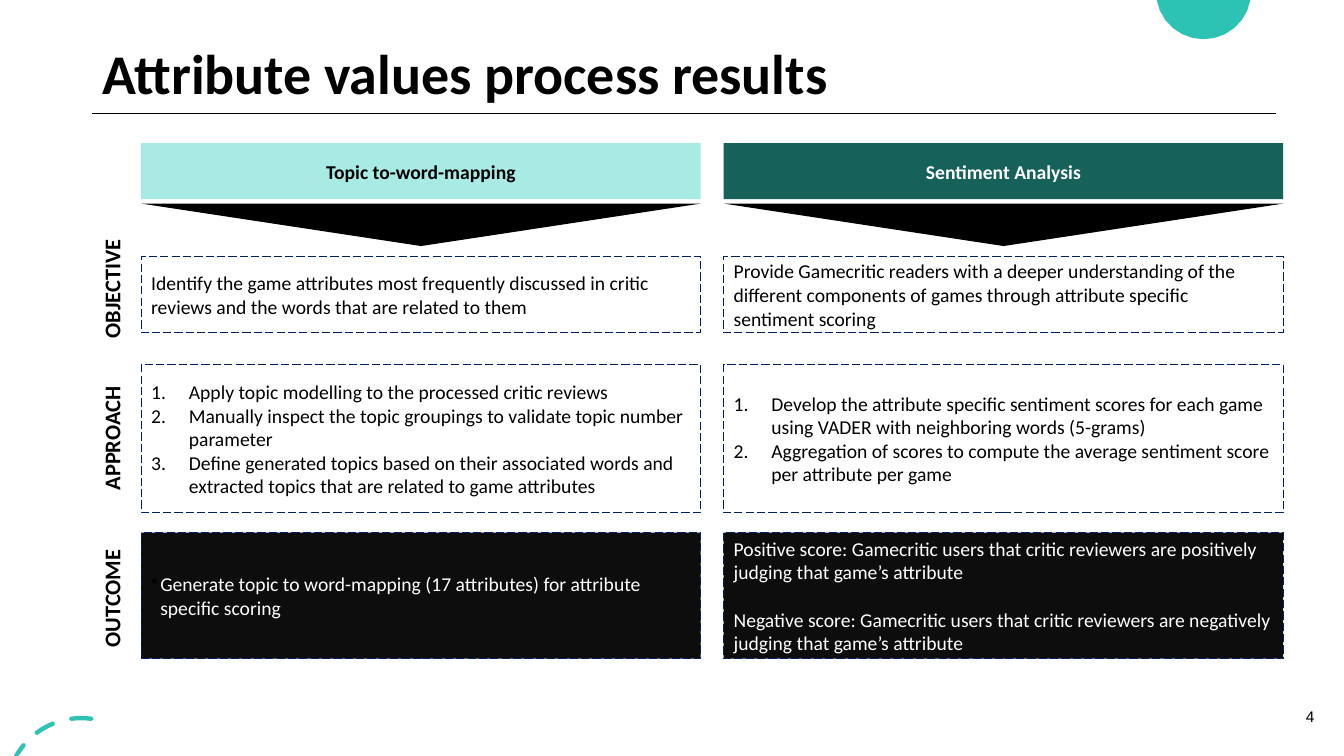
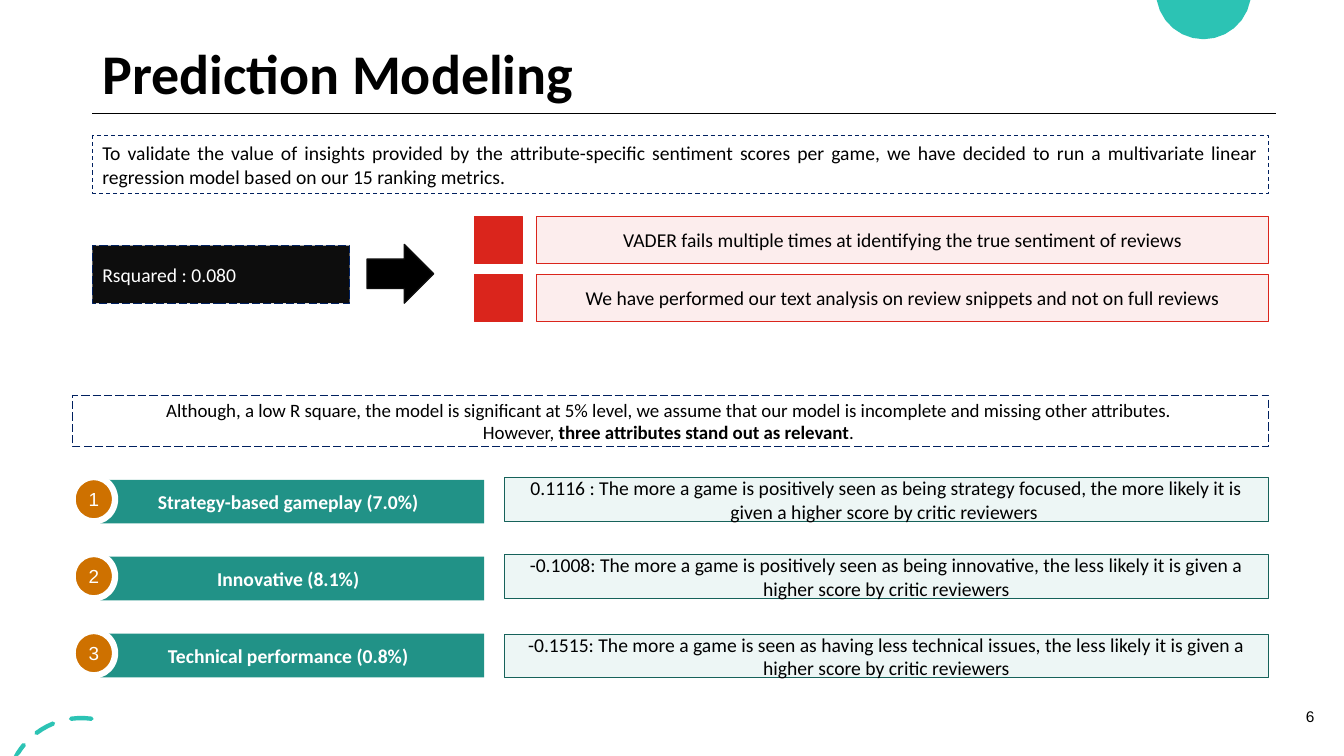
from math import asin, cos, degrees, radians, sin

from lxml import etree
from pptx import Presentation
from pptx.dml.color import RGBColor
from pptx.enum.dml import MSO_LINE
from pptx.enum.shapes import MSO_CONNECTOR, MSO_SHAPE
from pptx.enum.text import MSO_ANCHOR, PP_ALIGN
from pptx.oxml.ns import qn
from pptx.util import Cm, Pt

LEFT, CENTER, RIGHT, JUSTIFY = PP_ALIGN.LEFT, PP_ALIGN.CENTER, PP_ALIGN.RIGHT, PP_ALIGN.JUSTIFY
MIDDLE = MSO_ANCHOR.MIDDLE
DASH, LONG_DASH = MSO_LINE.DASH, MSO_LINE.LONG_DASH
STRAIGHT = MSO_CONNECTOR.STRAIGHT
RECTANGLE, OVAL = MSO_SHAPE.RECTANGLE, MSO_SHAPE.OVAL
TRIANGLE, RIGHT_ARROW = MSO_SHAPE.ISOSCELES_TRIANGLE, MSO_SHAPE.RIGHT_ARROW

COLORS = {
    "black": "000000",
    "white": "FFFFFF",
    "ink": "0D0D0D",
    "navy": "002060",
    "turquoise": "2CC3B4",
    "mint": "A7EBE4",
    "teal": "219287",
    "pine": "16625A",
    "red": "DA251C",
    "orange": "CE7100",
}
FONT, NUMBER_FONT = "Calibri", "Arial"
SLIDE_WIDTH, SLIDE_HEIGHT = 33.87, 19.05
MARGIN = 2.33
NUMBERED, BULLETED = "numbered", "bulleted"
LIST_INDENTS = {NUMBERED: 0.95, BULLETED: 0.23}
TINT_PERCENT = 8


def color(name):
    return RGBColor.from_string(COLORS[name])


def tint(shape):
    """Make the solid fill of a shape nearly transparent."""
    fill_color = shape._element.spPr.find(qn("a:solidFill"))[0]
    etree.SubElement(fill_color, qn("a:alpha"), val=str(TINT_PERCENT * 1000))


def add_list_mark(para, kind):
    properties = para._p.get_or_add_pPr()
    indent = Cm(LIST_INDENTS[kind])
    properties.set("marL", str(indent))
    properties.set("indent", str(-indent))
    mark_color = etree.SubElement(properties, qn("a:buClr"))
    etree.SubElement(mark_color, qn("a:srgbClr"), val=COLORS["black"])
    if kind == NUMBERED:
        etree.SubElement(properties, qn("a:buAutoNum"), type="arabicPeriod")
    else:
        etree.SubElement(properties, qn("a:buChar"), char="•")


def write(shape, paragraphs, size=14, ink="black", bold=False, align=LEFT,
          font=FONT, marks=None, gap=0, spacing=None):
    """Fill a shape with paragraphs; in a tuple of spans every second one is bold."""
    frame = shape.text_frame
    frame.word_wrap = True
    frame.vertical_anchor = MIDDLE
    for index, content in enumerate(paragraphs):
        para = frame.add_paragraph() if index else frame.paragraphs[0]
        if marks:
            add_list_mark(para, marks)
        para.alignment = align
        if index and gap:
            para.space_before = Pt(gap)
        if spacing:
            para.line_spacing = spacing
        para.font.name = font
        para.font.size = Pt(size)
        para.font.bold = bold
        para.font.color.rgb = color(ink)
        spans = (content,) if isinstance(content, str) else content
        for position, text in enumerate(spans):
            span = para.add_run()
            span.text = text
            if position % 2:
                span.font.bold = True


def add_shape(page, kind, left, top, width, height, fill=None, line=None,
              weight=0.75, dash=None):
    shape = page.shapes.add_shape(kind, Cm(left), Cm(top), Cm(width), Cm(height))
    shape.shadow.inherit = False
    if fill:
        shape.fill.solid()
        shape.fill.fore_color.rgb = color(fill)
    else:
        shape.fill.background()
    if line:
        shape.line.color.rgb = color(line)
        shape.line.width = Pt(weight)
        if dash:
            shape.line.dash_style = dash
    else:
        shape.line.fill.background()
    return shape


def add_dashed_box(page, left, top, width, height, paragraphs, fill=None,
                   dash=LONG_DASH, **text_style):
    box = add_shape(page, RECTANGLE, left, top, width, height, fill, "navy", dash=dash)
    write(box, paragraphs, ink="white" if fill else "black", **text_style)


def add_banner(page, left, top, width, height, text, fill, ink="white"):
    banner = add_shape(page, RECTANGLE, left, top, width, height, fill)
    write(banner, [text], ink=ink, bold=True, align=CENTER)


def add_tinted_box(page, left, top, width, height, text, fill, line):
    box = add_shape(page, RECTANGLE, left, top, width, height, fill, line)
    tint(box)
    write(box, [text], align=CENTER)


def add_text(page, left, top, width, height, text, rotation=0, **text_style):
    box = page.shapes.add_textbox(Cm(left), Cm(top), Cm(width), Cm(height))
    box.rotation = rotation
    write(box, [text], **text_style)


def arc_points(center_x, center_y, radius, start, end, steps):
    """Points on an arc, kept on the slide; degrees run clockwise from the right."""
    angles = [radians(start + (end - start) * step / steps) for step in range(steps + 1)]
    return [(Cm(center_x + radius * cos(angle)),
             Cm(min(center_y + radius * sin(angle), SLIDE_HEIGHT))) for angle in angles]


def add_outline(page, contours):
    """Draw closed contours as one turquoise shape."""
    builder = page.shapes.build_freeform(*contours[0][0], scale=1.0)
    for index, contour in enumerate(contours):
        if index:
            builder.move_to(*contour[0])
        builder.add_line_segments(contour[1:], close=True)
    outline = builder.convert_to_shape()
    outline.shadow.inherit = False
    outline.fill.solid()
    outline.fill.fore_color.rgb = color("turquoise")
    outline.line.fill.background()


def stroke_contour(start, end):
    """A short curved stroke with rounded ends."""
    center, inner, outer, cap = (2.05, 19.98), 1.83, 1.94, 1.5
    tips = arc_points(*center, (inner + outer) / 2, start - cap, end + cap, 1)
    return (arc_points(*center, outer, start, end, 3) + tips[1:]
            + arc_points(*center, inner, end, start, 3) + tips[:1])


def add_decorations(page):
    radius, rise = 1.2, 0.21
    edge = degrees(asin(rise / radius))
    add_outline(page, [arc_points(30.33, -rise, radius, edge, 180 - edge, 12)])
    add_outline(page, [stroke_contour(start, end)
                       for start, end in ((209, 220), (233, 248), (262, 278))])


def add_title_rule(page):
    rule = page.shapes.add_connector(STRAIGHT, Cm(MARGIN), Cm(2.86), Cm(32.16), Cm(2.86))
    rule.line.color.rgb = color("black")
    rule.line.width = Pt(0.5)
    etree.SubElement(rule._element.spPr, qn("a:effectLst"))


def add_page(deck, title, number):
    """Start a slide with everything the slides share."""
    page = deck.slides.add_slide(deck.slide_layouts[6])
    add_decorations(page)
    add_title_rule(page)
    number_box = add_shape(page, RECTANGLE, 32.16, 17.68, 1.22, 0.74, "white")
    write(number_box, [str(number)], size=11, font=NUMBER_FONT, align=RIGHT)
    add_text(page, MARGIN, 1.01, 29.21, 1.85, title, size=40, bold=True, spacing=0.9)
    return page


def build_results(deck):
    page = add_page(deck, "Attribute values process results", 4)
    width = 14.1
    columns = (
        (3.56, "Topic to-word-mapping", "mint", "black",
         ["Identify the game attributes most frequently discussed in critic reviews "
          "and the words that are related to them"],
         ["Apply topic modelling to the processed critic reviews",
          "Manually inspect the topic groupings to validate topic number parameter",
          "Define generated topics based on their associated words and extracted "
          "topics that are related to game attributes"],
         ["Generate topic to word-mapping (17 attributes) for attribute specific scoring"],
         BULLETED),
        (18.24, "Sentiment Analysis", "pine", "white",
         ["Provide Gamecritic readers with a deeper understanding of the different "
          "components of games through attribute specific sentiment scoring"],
         ["Develop the attribute specific sentiment scores for each game using VADER "
          "with neighboring words (5-grams)",
          "Aggregation of scores to compute the average sentiment score per attribute "
          "per game"],
         ["Positive score: Gamecritic users that critic reviewers are positively "
          "judging that game’s attribute",
          "Negative score: Gamecritic users that critic reviewers are negatively "
          "judging that game’s attribute"],
         None),
    )
    for left, heading, fill, ink, objective, approach, outcome, outcome_marks in columns:
        add_banner(page, left, 3.61, width, 1.41, heading, fill, ink)
        pointer = add_shape(page, TRIANGLE, left, 5.13, width, 1.07, "black")
        pointer.rotation = 180
        add_dashed_box(page, left, 6.47, width, 1.91, objective)
        add_dashed_box(page, left, 9.19, width, 3.73, approach, marks=NUMBERED)
        add_dashed_box(page, left, 13.42, width, 3.18, outcome, "ink",
                       marks=outcome_marks, gap=17)

    label_width, label_height = 4.11, 0.94
    for middle, label in ((7.28, "OBJECTIVE"), (11.05, "APPROACH"), (15.08, "OUTCOME")):
        add_text(page, 2.81 - label_width / 2, middle - label_height / 2, label_width,
                 label_height, label, rotation=270, size=16, bold=True, align=CENTER)


def build_prediction(deck):
    page = add_page(deck, "Prediction Modeling", 6)
    add_dashed_box(
        page, MARGIN, 3.42, 29.64, 1.45,
        ["To validate the value of insights provided by the attribute-specific sentiment "
         "scores per game, we have decided to run a multivariate linear regression model "
         "based on our 15 ranking metrics."],
        dash=DASH, align=JUSTIFY)
    add_dashed_box(page, MARGIN, 6.19, 6.48, 1.45, ["Rsquared : 0.080"], "ink")
    add_shape(page, RIGHT_ARROW, 9.25, 6.16, 1.68, 1.48, "black", "ink", 1)

    limits = ("VADER fails multiple times at identifying the true sentiment of reviews",
              "We have performed our text analysis on review snippets and not on full reviews")
    for row, limit in enumerate(limits):
        top = 5.45 + 1.46 * row
        add_shape(page, RECTANGLE, 11.96, top, 1.2, 1.2, "red", "red")
        add_tinted_box(page, 13.53, top, 18.44, 1.2, limit, "red", "red")

    add_dashed_box(
        page, 1.83, 9.96, 30.14, 1.3,
        ["Although, a low R square, the model is significant at 5% level, we assume that "
         "our model is incomplete and missing other attributes. ",
         ("However, ", "three attributes stand out as relevant", ". ")],
        size=13.5, align=CENTER)

    attributes = (
        ("Strategy-based gameplay (7.0%)", 12.04,
         "0.1116 : The more a game is positively seen as being strategy focused, the more "
         "likely it is given a higher score by critic reviewers "),
        ("Innovative (8.1%)", 13.98,
         "-0.1008: The more a game is positively seen as being innovative, the less "
         "likely it is given a higher score by critic reviewers"),
        ("Technical performance (0.8%)", 15.98,
         "-0.1515: The more a game is seen as having less technical issues, the less "
         "likely it is given a higher score by critic reviewers"),
    )
    for row, (attribute, effect_top, effect) in enumerate(attributes):
        top = 12.02 + 1.94 * row
        add_banner(page, MARGIN, top + 0.07, 9.87, 1.1, attribute, "teal")
        badge = add_shape(page, OVAL, 1.83, top, 1.07, 1.12, "orange", "white", 4.5)
        write(badge, [str(row + 1)], size=13.5, ink="white", font=NUMBER_FONT, align=CENTER)
        add_tinted_box(page, 12.71, effect_top, 19.26, 1.1, effect, "teal", "pine")


def main():
    deck = Presentation()
    deck.slide_width, deck.slide_height = Cm(SLIDE_WIDTH), Cm(SLIDE_HEIGHT)
    build_results(deck)
    build_prediction(deck)
    deck.save("out.pptx")


if __name__ == "__main__":
    main()
